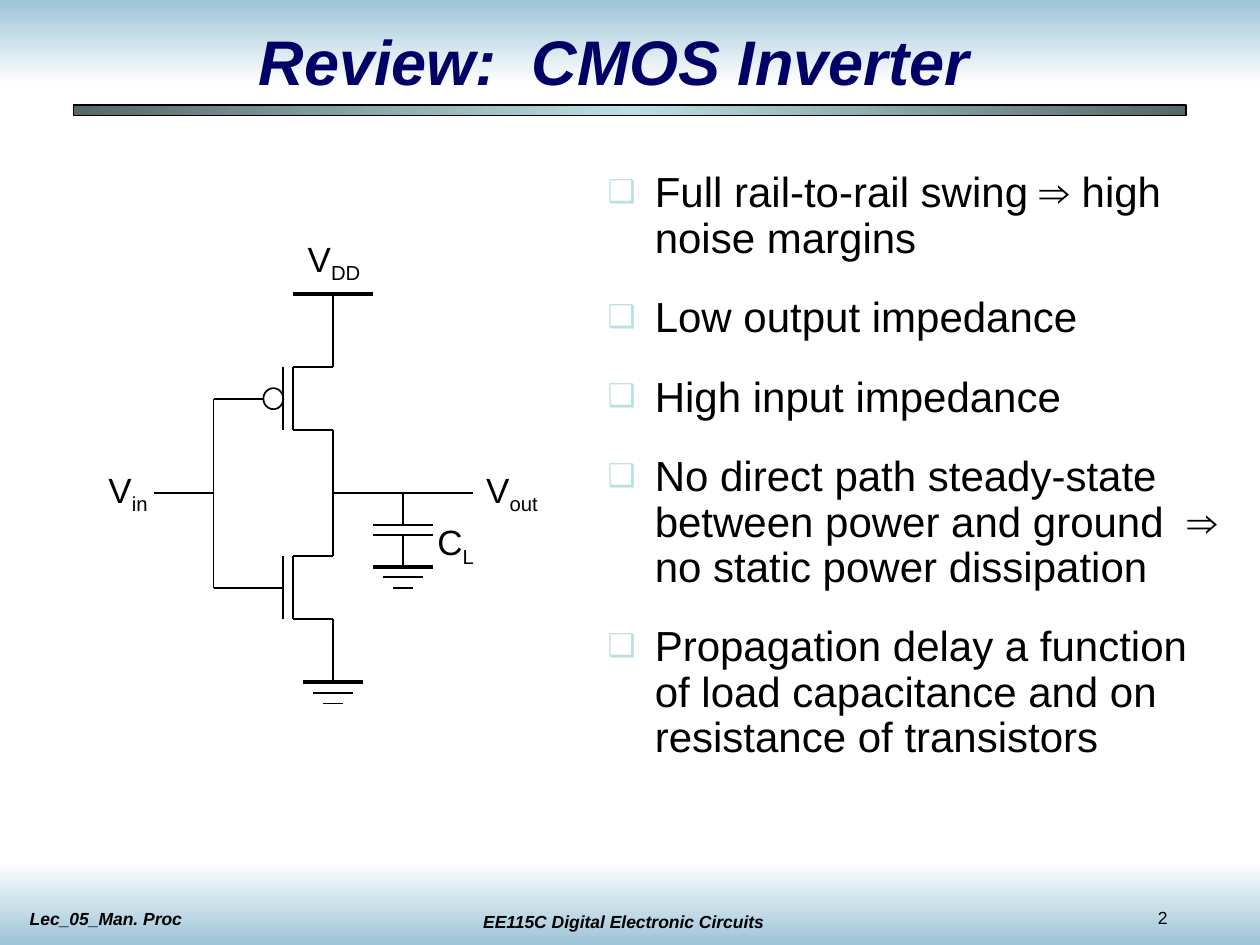
from lxml.etree import SubElement
from pptx import Presentation
from pptx.dml.color import RGBColor
from pptx.enum.shapes import MSO_CONNECTOR as Link, MSO_SHAPE as Kind
from pptx.enum.text import MSO_ANCHOR as Anchor, MSO_AUTO_SIZE as Fit, PP_ALIGN as Align
from pptx.oxml import parse_xml
from pptx.oxml.ns import nsdecls, qn
from pptx.util import Cm, Pt

HUES = {"ink": "000000", "title": "000066", "sky": "9DC4D7",
        "paper": "FFFFFF", "aqua": "BBE0E3", "slate": "566768"}
POINTS = [
    "Full rail-to-rail swing ⇒ high noise margins",
    "Low output impedance",
    "High input impedance",
    "No direct path steady-state between power and ground  ⇒ no static power dissipation",
    "Propagation delay a function of load capacitance and on resistance of transistors",
]


def rgb(name):
    return RGBColor.from_string(HUES[name])


def write(para, text, size=20, hue="ink", bold=False, slant=False, base=0):
    run = para.add_run()
    run.text = text
    font = run.font
    font.name, font.size = "Arial", Pt(size)
    font.bold, font.italic = bold, slant
    font.color.rgb = rgb(hue)
    if base:
        run._r.get_or_add_rPr().set("baseline", str(base * 1000))


def set_frame(frame, wrap=True, side=0.25, edge=0.13):
    frame.auto_size, frame.word_wrap = Fit.NONE, wrap
    frame.margin_left = frame.margin_right = Cm(side)
    frame.margin_top = frame.margin_bottom = Cm(edge)


def place(shape, box):
    shape.left, shape.top, shape.width, shape.height = map(Cm, box)


def add_text(slide, box, wrap=True):
    """Add a text box and return its first paragraph."""
    frame = slide.shapes.add_textbox(*map(Cm, box)).text_frame
    set_frame(frame, wrap)
    return frame.paragraphs[0]


def add_band(slide, box, hues, angle):
    """Add a bar with evenly spaced gradient stops, behind everything else."""
    bar = slide.shapes.add_shape(Kind.RECTANGLE, *map(Cm, box))
    bar.shadow.inherit = False
    step = 100000 // (len(hues) - 1)
    stops = "".join(f'<a:gs pos="{i * step}"><a:srgbClr val="{HUES[hue]}"/></a:gs>'
                    for i, hue in enumerate(hues))
    grad = parse_xml(f'<a:gradFill {nsdecls("a")} rotWithShape="1"><a:gsLst>{stops}</a:gsLst>'
                     f'<a:lin ang="{angle * 60000}" scaled="0"/></a:gradFill>')
    bar._element.spPr.find(qn("a:prstGeom")).addnext(grad)
    bar.line.fill.background()
    slide.shapes._spTree.insert(2, bar._element)
    return bar


def add_frame(slide):
    """Draw the bands, the rule and the footer."""
    rule = add_band(slide, (1.48, 2.12, 22.43, 0.21), ("slate", "aqua", "slate"), 0)
    rule.line.color.rgb, rule.line.width = rgb("ink"), Pt(0.75)
    add_band(slide, (0, 17.35, 25.4, 1.7), ("paper", "sky"), 90)
    add_band(slide, (0, 0, 25.4, 1.7), ("sky", "paper"), 90)

    write(add_text(slide, (0.35, 18.18, 7.2, 0.68)), "Lec_05_Man. Proc",
          size=10, bold=True, slant=True)
    para = add_text(slide, (8.97, 18.24, 7.2, 0.68))
    para.alignment = Align.CENTER
    write(para, "EE115C Digital Electronic Circuits", size=10, bold=True, slant=True)
    write(add_text(slide, (23.09, 18.16, 2.1, 0.68)), "2", size=10)


def add_title(slide, box):
    title = slide.shapes.title
    place(title, box)
    frame = title.text_frame
    set_frame(frame)
    frame.vertical_anchor = Anchor.MIDDLE
    para = frame.paragraphs[0]
    para.alignment = Align.CENTER
    write(para, "Review:  CMOS Inverter", size=36, hue="title", bold=True, slant=True)


def add_bullet(para):
    props = para._p.get_or_add_pPr()
    props.set("marL", str(Cm(0.95)))
    props.set("indent", str(-Cm(0.95)))
    tint = SubElement(props, qn("a:buClr"))
    SubElement(tint, qn("a:srgbClr")).set("val", HUES["aqua"])
    SubElement(props, qn("a:buSzPct")).set("val", "75000")
    SubElement(props, qn("a:buChar")).set("char", "❑")


def add_points(slide, box):
    body = slide.placeholders[1]
    place(body, box)
    frame = body.text_frame
    set_frame(frame, side=0.18, edge=0.08)
    frame.vertical_anchor = Anchor.TOP
    for i, text in enumerate(POINTS):
        para = frame.add_paragraph() if i else frame.paragraphs[0]
        add_bullet(para)
        para.alignment = Align.LEFT
        para.line_spacing = 0.9
        para.space_before = Pt(19.5 if i else 0)
        write(para, text, size=24)


def add_circuit(slide, box):
    """Draw the inverter on a grid of 32 columns by 39 rows."""
    left, top, width, height = box

    def spot(col, row):
        return left + col * width / 32, top + row * height / 39

    def wire(col, row, col2, row2, thick=1):
        ends = map(Cm, spot(col, row) + spot(col2, row2))
        line = slide.shapes.add_connector(Link.STRAIGHT, *ends)
        line.line.color.rgb, line.line.width = rgb("ink"), Pt(thick)
        SubElement(line._element.spPr, qn("a:effectLst"))

    def gate(row):
        """Draw one transistor, six rows high, with its top at row."""
        wire(13, row, 13, row + 6)
        wire(14, row, 14, row + 6)
        for end in (row, row + 6):
            wire(14, end, 18, end)

    def ground(col, row):
        for i, thick in enumerate((2.25, 1, 1)):
            wire(col - 3 + i, row + i, col + 3 - i, row + i, thick)

    def label(col, row, wide, name, sub):
        para = add_text(slide, spot(col, row) + (wide, 1.22), wrap=False)
        write(para, name)
        write(para, sub, base=-25)

    # Supply, output column and ground
    wire(14, 0, 22, 0, 2.25)
    for start, end in ((0, 7), (13, 25), (31, 37)):
        wire(18, start, 18, end)
    gate(7)
    gate(25)
    ground(18, 37)

    # Input
    wire(0, 19, 6, 19)
    wire(6, 10, 6, 28)
    wire(6, 10, 11, 10)
    wire(6, 28, 13, 28)
    ring = slide.shapes.add_shape(Kind.OVAL, *map(Cm, spot(11, 9) + (width / 16, height / 19.5)))
    ring.shadow.inherit = False
    ring.fill.background()
    ring.line.color.rgb, ring.line.width = rgb("ink"), Pt(1)

    # Output and load
    wire(18, 19, 32, 19)
    wire(25, 19, 25, 22)
    for row in (22, 23):
        wire(22, row, 28, row)
    wire(25, 23, 25, 26)
    ground(25, 26)

    label(14.2, -6, 1.58, "V", "DD")
    label(32.1, 16, 1.55, "V", "out")
    label(27.2, 21, 1.24, "C", "L")
    label(-5.8, 16, 1.3, "V", "in")


def main():
    deck = Presentation()
    deck.slide_width, deck.slide_height = Cm(25.4), Cm(19.05)
    slide = deck.slides.add_slide(deck.slide_layouts[1])
    add_frame(slide)
    add_title(slide, (1.48, 0.64, 21.8, 1.16))
    add_circuit(slide, (3.1, 5.92, 6.43, 8.26))
    add_points(slide, (12.07, 3.38, 12.7, 12.04))
    deck.save("out.pptx")


if __name__ == "__main__":
    main()
